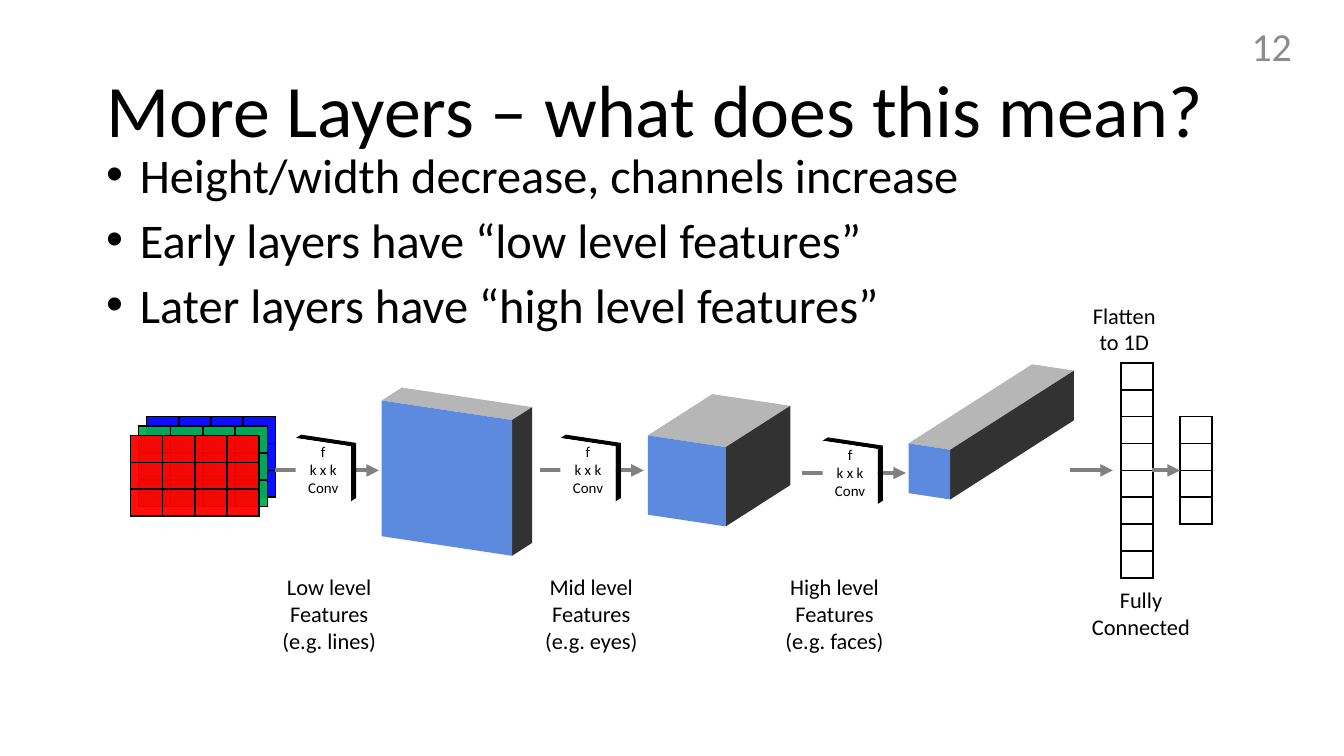
from dataclasses import dataclass

from lxml.etree import SubElement
from pptx import Presentation
from pptx.dml.color import RGBColor
from pptx.enum.shapes import MSO_CONNECTOR as Connector
from pptx.enum.text import MSO_ANCHOR as Anchor, MSO_AUTO_SIZE as AutoSize, PP_ALIGN as Align
from pptx.oxml.ns import qn
from pptx.util import Inches, Pt


@dataclass(frozen=True)
class Theme:
    font: str = "Calibri"
    ink: str = "000000"
    paper: str = "FFFFFF"
    muted: str = "8C8C8C"
    arrow: str = "808080"
    front: str = "5B8ADF"
    top: str = "B6B6B6"
    side: str = "323232"
    red: str = "FF0000"
    green: str = "00B050"
    blue: str = "0000FF"
    title_size: float = 39.6
    body_size: float = 25.9
    number_size: float = 21.3
    label_size: float = 12
    conv_size: float = 8


THEME = Theme()
CELL_W, CELL_H = 0.24, 0.2
SKEW = 0.15  # drop of a front edge per inch of width
RISE = 0.64  # rise of a receding edge per inch of depth


def place(shape, box):
    shape.left, shape.top, shape.width, shape.height = map(Inches, box)


def write(frame, lines, size, color=THEME.ink, align=Align.CENTER, anchor=Anchor.MIDDLE):
    frame.word_wrap = True
    frame.auto_size = AutoSize.NONE
    frame.vertical_anchor = anchor
    for index, line in enumerate(lines):
        paragraph = frame.paragraphs[0] if index == 0 else frame.add_paragraph()
        paragraph.alignment = align
        run = paragraph.add_run()
        run.text = line
        run.font.name = THEME.font
        run.font.size = Pt(size)
        run.font.color.rgb = RGBColor.from_string(color)


def add_label(slide, box, lines, size=THEME.label_size, color=THEME.ink, align=Align.CENTER):
    label = slide.shapes.add_textbox(*map(Inches, box))
    write(label.text_frame, lines, size, color, align)


def add_title(slide, box, text):
    title = slide.shapes.title
    place(title, box)
    write(title.text_frame, [text], THEME.title_size, align=Align.LEFT)
    title.text_frame.paragraphs[0].line_spacing = 0.9


def add_points(slide, box, points):
    body = slide.placeholders[1]
    place(body, box)
    write(body.text_frame, points, THEME.body_size, align=Align.LEFT, anchor=Anchor.TOP)
    for index, paragraph in enumerate(body.text_frame.paragraphs):
        properties = paragraph._p.get_or_add_pPr()
        properties.set("marL", str(Inches(0.25)))
        properties.set("indent", str(-Inches(0.25)))
        SubElement(properties, qn("a:buFont"), typeface="Arial")
        SubElement(properties, qn("a:buChar"), char="•")
        paragraph.line_spacing = 0.8
        paragraph.space_before = Pt(10 if index else 0)


def style_cell(cell, color):
    properties = cell._tc.get_or_add_tcPr()
    for edge in ("a:lnL", "a:lnR", "a:lnT", "a:lnB"):
        line = SubElement(properties, qn(edge), w=str(Pt(1)))
        SubElement(SubElement(line, qn("a:solidFill")), qn("a:srgbClr"), val=THEME.ink)
    cell.fill.solid()
    cell.fill.fore_color.rgb = RGBColor.from_string(color)
    SubElement(properties.find(qn("a:solidFill"))[0], qn("a:alpha"), val="95000")
    cell.margin_left = cell.margin_right = cell.margin_top = cell.margin_bottom = 0
    # Small empty text keeps the row at its set height
    SubElement(cell.text_frame.paragraphs[0]._p, qn("a:endParaRPr"), sz="600")


def add_grid(slide, left, top, rows, columns, color):
    box = (left, top, columns * CELL_W, rows * CELL_H)
    grid = slide.shapes.add_table(rows, columns, *map(Inches, box)).table
    grid.first_row = grid.horz_banding = False
    for column in grid.columns:
        column.width = Inches(CELL_W)
    for row in grid.rows:
        row.height = Inches(CELL_H)
        for cell in row.cells:
            style_cell(cell, color)


def add_face(slide, corners, color):
    start, *others = [(Inches(x), Inches(y)) for x, y in corners]
    builder = slide.shapes.build_freeform(*start)
    builder.add_line_segments(others, close=True)
    face = builder.convert_to_shape()
    face.shadow.inherit = False
    face.fill.solid()
    face.fill.fore_color.rgb = RGBColor.from_string(color)
    face.line.fill.background()
    return face


def add_block(slide, box, depth, front=THEME.front, top=THEME.top, side=THEME.side):
    """Draw a skewed solid whose front face starts at the box and return that face."""
    x, y, width, height = box
    drop = width * SKEW

    def back(point):
        return point[0] + depth, point[1] - depth * RISE

    upper_left, upper_right = (x, y), (x + width, y + drop)
    lower_left, lower_right = (x, y + height), (x + width, y + drop + height)
    add_face(slide, [upper_left, back(upper_left), back(upper_right), upper_right], top)
    add_face(slide, [upper_right, back(upper_right), back(lower_right), lower_right], side)
    return add_face(slide, [upper_left, upper_right, lower_right, lower_left], front)


def add_conv(slide, left, top):
    face = add_block(slide, (left, top, 0.41, 0.41), 0.04, THEME.paper, THEME.ink, THEME.ink)
    frame = face.text_frame
    frame.margin_left = frame.margin_right = frame.margin_top = frame.margin_bottom = 0
    write(frame, ["f", "k x k", "Conv"], THEME.conv_size)


def add_arrow(slide, start, end, y):
    arrow = slide.shapes.add_connector(Connector.STRAIGHT, *map(Inches, (start, y, end, y)))
    arrow.line.color.rgb = RGBColor.from_string(THEME.arrow)
    arrow.line.width = Pt(2.25)
    SubElement(arrow.line._get_or_add_ln(), qn("a:tailEnd"), type="triangle")
    SubElement(arrow._element.spPr, qn("a:effectLst"))


def add_network(slide, left, axis):
    """Lay out the network from its left edge around a horizontal axis."""
    # Input channels, from back to front
    for step, color in enumerate((THEME.blue, THEME.green, THEME.red)):
        add_grid(slide, left + 0.12 - 0.06 * step, axis - 0.4 + 0.07 * step, 3, 4, color)

    # Feature volumes: offset, rise above the axis, width, height, depth
    for offset, rise, width, height, depth in (
        (1.87, 0.52, 0.97, 1.01, 0.15),
        (3.85, 0.26, 0.58, 0.59, 0.48),
        (5.79, 0.2, 0.31, 0.37, 0.92),
    ):
        add_block(slide, (left + offset, axis - rise, width, height), depth)

    # Flattened and fully connected vectors
    for offset, rows in ((7.37, 8), (7.81, 4)):
        add_grid(slide, left + offset, axis - rows * CELL_H / 2, rows, 1, THEME.paper)
    for start, end in ((6.99, 7.31), (7.6, 7.81)):
        add_arrow(slide, left + start, left + end, axis)

    # Convolutions: arrow start and end, offset of the filter, shift below the axis
    for start, end, offset, shift in (
        (1.08, 1.85, 1.23, 0),
        (3.05, 3.82, 3.2, 0),
        (5, 5.77, 5.15, 0.02),
    ):
        add_arrow(slide, left + start, left + end, axis + shift)
        add_conv(slide, left + offset, axis - 0.24 + shift)

    # Labels
    for offset, level, example in ((0.95, "Low", "lines"), (2.9, "Mid", "eyes"), (4.71, "High", "faces")):
        lines = [f"{level} level", "Features", f"(e.g. {example})"]
        add_label(slide, (left + offset, axis + 0.75, 1.06, 0.63), lines)
    add_label(slide, (left + 6.99, axis - 1.37, 0.81, 0.63), ["Flatten", "to 1D"])
    add_label(slide, (left + 6.99, axis + 0.75, 1.06, 0.63), ["Fully", "Connected"])


def main():
    deck = Presentation()
    deck.slide_width = Inches(10)
    deck.slide_height = deck.slide_width * 9 // 16
    slide = deck.slides.add_slide(deck.slide_layouts[1])
    add_title(slide, (0.69, 0.3, 8.62, 1.09), "More Layers – what does this mean?")
    add_points(slide, (0.69, 1.11, 8.62, 1.43), [
        "Height/width decrease, channels increase",
        "Early layers have “low level features”",
        "Later layers have “high level features”",
    ])
    add_network(slide, 0.97, 3.5)
    add_label(slide, (7.46, 0.19, 2.25, 0.3), ["12"], THEME.number_size, THEME.muted, Align.RIGHT)
    deck.save("out.pptx")


if __name__ == "__main__":
    main()
